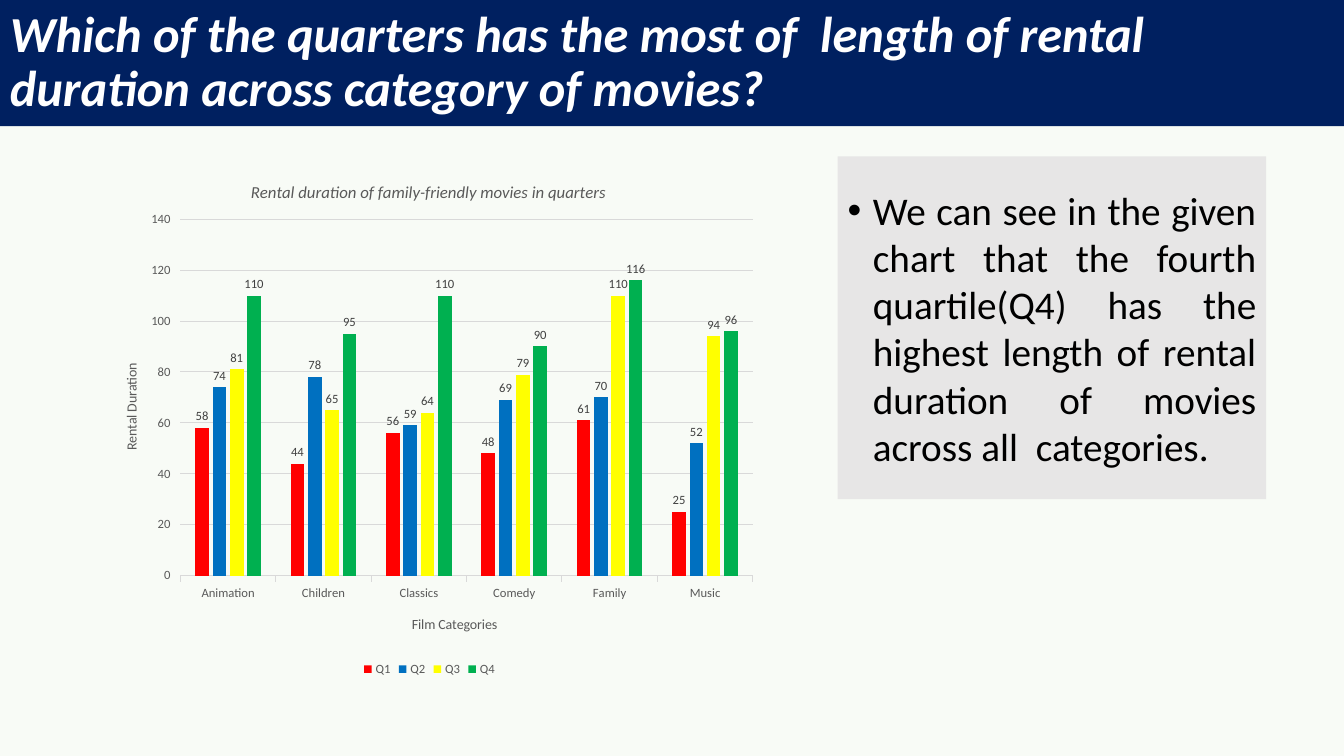
from dataclasses import dataclass

from lxml.etree import SubElement
from pptx import Presentation
from pptx.chart.data import CategoryChartData
from pptx.dml.color import RGBColor
from pptx.enum.chart import XL_CHART_TYPE as ChartType
from pptx.enum.chart import XL_LABEL_POSITION as LabelPosition
from pptx.enum.chart import XL_LEGEND_POSITION as LegendPosition
from pptx.enum.chart import XL_TICK_MARK as TickMark
from pptx.enum.shapes import MSO_SHAPE as ShapeKind
from pptx.enum.text import MSO_ANCHOR as Anchor
from pptx.enum.text import PP_ALIGN as Align
from pptx.oxml.ns import qn
from pptx.util import Cm, Pt

FONT = "Calibri"
NAVY = RGBColor(0x00, 0x20, 0x60)
WHITE = RGBColor(0xFF, 0xFF, 0xFF)
BLACK = RGBColor(0x00, 0x00, 0x00)
PALE_GREEN = RGBColor(0xF8, 0xFB, 0xF6)
PANEL_GREY = RGBColor(0xE7, 0xE6, 0xE6)
LINE_GREY = RGBColor(0xD9, 0xD9, 0xD9)
AXIS_GREY = RGBColor(0x59, 0x59, 0x59)
LABEL_GREY = RGBColor(0x40, 0x40, 0x40)
RED = RGBColor(0xFF, 0x00, 0x00)
BLUE = RGBColor(0x00, 0x70, 0xC0)
YELLOW = RGBColor(0xFF, 0xFF, 0x00)
GREEN = RGBColor(0x00, 0xB0, 0x50)


@dataclass
class Panel:
    """A filled text block; lengths in centimetres."""
    text: str
    left: float
    top: float
    width: float
    height: float
    fill: RGBColor
    color: RGBColor
    size: float
    emphasis: bool = False


@dataclass
class Quarter:
    name: str
    durations: tuple[int, ...]
    color: RGBColor


TITLE = Panel("Which of the quarters has the most of  length of rental duration "
              "across category of movies?",
              0, 0, 33.87, 3.18, NAVY, WHITE, 36, emphasis=True)
FINDING = Panel("We can see in the given chart that the fourth quartile(Q4) has the "
                "highest length of rental duration of movies across all  categories.",
                21.11, 3.94, 10.8, 8.64, PANEL_GREY, BLACK, 28)
CATEGORIES = ("Animation", "Children", "Classics", "Comedy", "Family", "Music")
QUARTERS = (
    Quarter("Q1", (58, 44, 56, 48, 61, 25), RED),
    Quarter("Q2", (74, 78, 59, 69, 70, 52), BLUE),
    Quarter("Q3", (81, 65, 64, 79, 110, 94), YELLOW),
    Quarter("Q4", (110, 95, 110, 90, 116, 96), GREEN),
)


def style_font(font, size: float, color: RGBColor, bold: bool = False,
               italic: bool = False) -> None:
    font.name, font.size = FONT, Pt(size)
    font.bold, font.italic = bold, italic
    font.color.rgb = color


def add_panel(page, panel: Panel):
    """Draw the block and return its only paragraph."""
    box = page.shapes.add_shape(ShapeKind.RECTANGLE, Cm(panel.left), Cm(panel.top),
                                Cm(panel.width), Cm(panel.height))
    box.shadow.inherit = False
    box.fill.solid()
    box.fill.fore_color.rgb = panel.fill
    box.line.fill.background()
    frame = box.text_frame
    frame.word_wrap = True
    frame.vertical_anchor = Anchor.MIDDLE
    frame.text = panel.text
    para = frame.paragraphs[0]
    para.alignment = Align.LEFT
    style_font(para.runs[0].font, panel.size, panel.color, panel.emphasis, panel.emphasis)
    return para


def add_bullet(para) -> None:
    properties = para._p.get_or_add_pPr()
    properties.set("marL", str(Cm(0.64)))
    properties.set("indent", str(-Cm(0.64)))
    SubElement(properties, qn("a:buFont"), typeface="Arial")
    SubElement(properties, qn("a:buChar"), char="•")


def place_chart_part(element, index: int, **values) -> None:
    """Give a chart part a fixed layout, in fractions of the chart."""
    layout = element.find(qn("c:layout"))
    if layout is None:
        layout = SubElement(element, qn("c:layout"))
        element.insert(index, layout)
    manual = SubElement(layout, qn("c:manualLayout"))
    for tag, value in values.items():
        SubElement(manual, qn(f"c:{tag}"), val=str(value))


def set_title(title, text: str, size: float, x: float, y: float,
              italic: bool = False):
    frame = title.text_frame
    frame.text = text
    style_font(frame.paragraphs[0].runs[0].font, size, AXIS_GREY, italic=italic)
    place_chart_part(title._element, 1, xMode="edge", yMode="edge", x=x, y=y)
    return frame


def style_series(series, quarter: Quarter) -> None:
    series.format.fill.solid()
    series.format.fill.fore_color.rgb = quarter.color
    series.invert_if_negative = False
    labels = series.data_labels
    labels.show_value = True
    labels.position = LabelPosition.OUTSIDE_END
    style_font(labels.font, 9, LABEL_GREY)


def add_rental_chart(page) -> None:
    data = CategoryChartData()
    data.categories = CATEGORIES
    for quarter in QUARTERS:
        data.add_series(quarter.name, quarter.durations)
    chart = page.shapes.add_chart(ChartType.COLUMN_CLUSTERED, Cm(2.34), Cm(3.94),
                                  Cm(16.97), Cm(13.21), data).chart
    style_font(chart.font, 10, BLACK)

    # Columns
    plot = chart.plots[0]
    plot.gap_width, plot.overlap = 219, -27
    plot.vary_by_categories = False
    for series, quarter in zip(plot.series, QUARTERS):
        style_series(series, quarter)

    # Axes
    categories, values = chart.category_axis, chart.value_axis
    for axis in (categories, values):
        axis.major_tick_mark = TickMark.OUTSIDE
        axis.minor_tick_mark = TickMark.NONE
        style_font(axis.tick_labels.font, 9, AXIS_GREY)
    values.minimum_scale, values.maximum_scale, values.major_unit = 0, 140, 20
    values.format.line.fill.background()
    for line in (categories.format.line, values.major_gridlines.format.line):
        line.color.rgb = LINE_GREY
        line.width = Pt(0.75)

    # Titles, plot area and legend
    chart.has_title = True
    set_title(chart.chart_title, "Rental duration of family-friendly movies in quarters",
              12, 0.23, 0.04, italic=True)
    set_title(categories.axis_title, "Film Categories", 10, 0.47, 0.87)
    upright = set_title(values.axis_title, "Rental Duration", 10, 0.04, 0.39)
    upright._txBody.bodyPr.set("rot", "-5400000")
    upright._txBody.bodyPr.set("vert", "horz")
    place_chart_part(chart._chartSpace.chart.plotArea, 0, layoutTarget="inner",
                     xMode="edge", yMode="edge", x=0.13, y=0.12, w=0.85, h=0.68)
    chart.has_legend = True
    chart.legend.position = LegendPosition.BOTTOM
    chart.legend.include_in_layout = False
    style_font(chart.legend.font, 9, AXIS_GREY)


def main() -> None:
    deck = Presentation()
    deck.slide_width, deck.slide_height = Cm(33.87), Cm(19.05)
    page = deck.slides.add_slide(deck.slide_layouts[6])
    page.background.fill.solid()
    page.background.fill.fore_color.rgb = PALE_GREEN

    # Heading band
    add_panel(page, TITLE).line_spacing = 0.9

    # Finding
    finding = add_panel(page, FINDING)
    finding.alignment = Align.JUSTIFY
    finding.space_before = Pt(10)
    add_bullet(finding)

    add_rental_chart(page)
    deck.save("out.pptx")


if __name__ == "__main__":
    main()
